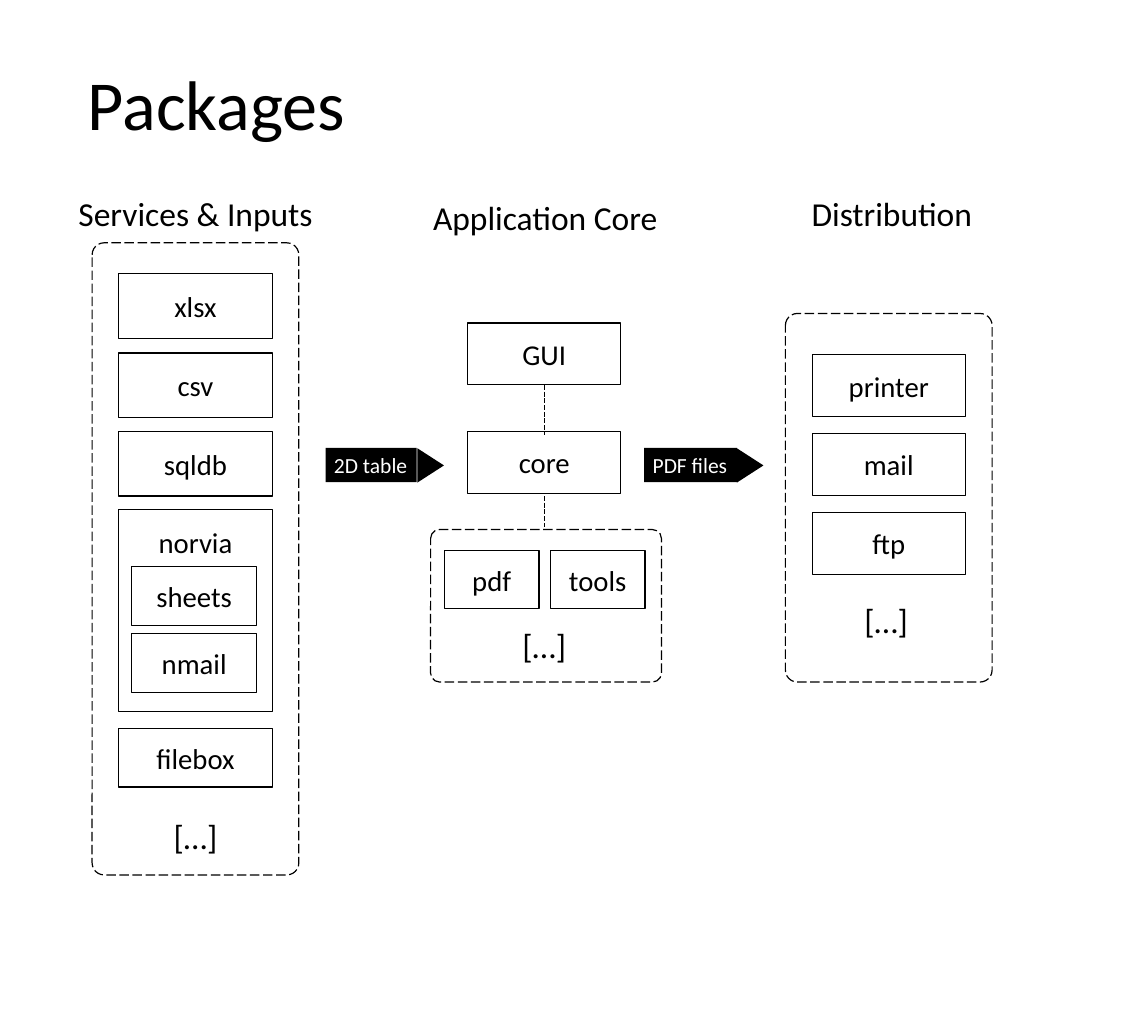
from lxml import etree
from pptx import Presentation
from pptx.dml.color import RGBColor
from pptx.enum.dml import MSO_LINE
from pptx.enum.shapes import MSO_CONNECTOR, MSO_SHAPE
from pptx.enum.text import MSO_ANCHOR, MSO_AUTO_SIZE, PP_ALIGN
from pptx.oxml.ns import qn
from pptx.util import Pt

PX = 9144
BLACK = RGBColor(0, 0, 0)
WHITE = RGBColor(255, 255, 255)
RECT = MSO_SHAPE.RECTANGLE
ROUND = MSO_SHAPE.ROUNDED_RECTANGLE
HEAD = MSO_SHAPE.ISOSCELES_TRIANGLE
DASH = MSO_LINE.LONG_DASH
LEFT, CENTER = PP_ALIGN.LEFT, PP_ALIGN.CENTER

prs = Presentation()
prs.slide_width = 1333 * PX
prs.slide_height = 1181 * PX
slide = prs.slides.add_slide(prs.slide_layouts[5])
shapes = slide.shapes


def write(shape, text, size, color=BLACK, align=CENTER, wrap=True):
    frame = shape.text_frame
    frame.text = text
    frame.word_wrap = wrap
    para = frame.paragraphs[0]
    para.alignment = align
    para.font.name = "Calibri"
    para.font.size = Pt(size)
    para.font.color.rgb = color


def draw(kind, x, y, w, h, fill=WHITE):
    shape = shapes.add_shape(kind, x * PX, y * PX, w * PX, h * PX)
    shape.shadow.inherit = False
    shape.fill.solid()
    shape.fill.fore_color.rgb = fill
    if fill == WHITE:
        shape.line.color.rgb = BLACK
        shape.line.width = Pt(1)
    else:
        shape.line.fill.background()
    return shape


title = shapes.title
title.left, title.top = 92 * PX, 63 * PX
title.width, title.height = 1150 * PX, 125 * PX
write(title, "Packages", 58.7, align=LEFT)
title.text_frame.auto_size = MSO_AUTO_SIZE.NONE
title.text_frame.vertical_anchor = MSO_ANCHOR.MIDDLE
title.text_frame.paragraphs[0].line_spacing = 0.9

panels = [(500, 615, 268, 177), (107, 282, 240, 734), (912, 364, 240, 428)]
for x, y, w, h in panels:
    panel = draw(ROUND, x, y, w, h)
    panel.adjustments[0] = 0.058
    panel.line.dash_style = DASH

suite = draw(RECT, 138, 592, 178, 234)
write(suite, "norvia", 24)
suite.text_frame.vertical_anchor = MSO_ANCHOR.TOP
suite.text_frame.margin_top = 17 * PX

boxes = [
    ("xlsx", 138, 318, 178, 75),
    ("csv", 138, 410, 178, 75),
    ("sqldb", 138, 501, 178, 75),
    ("sheets", 153, 658, 145, 68),
    ("nmail", 153, 736, 145, 68),
    ("filebox", 138, 846, 178, 68),
    ("GUI", 543, 375, 178, 72),
    ("core", 543, 501, 178, 72),
    ("pdf", 516, 639, 110, 68),
    ("tools", 639, 639, 110, 68),
    ("printer", 943, 412, 178, 72),
    ("mail", 943, 503, 178, 72),
    ("ftp", 943, 595, 178, 72),
]
for text, x, y, w, h in boxes:
    write(draw(RECT, x, y, w, h), text, 24)

labels = [
    ("Services & Inputs", 80, 219, 294),
    ("Application Core", 470, 224, 326),
    ("Distribution", 931, 219, 209),
    ("[…]", 191, 943, 72),
    ("[…]", 596, 721, 72),
    ("[…]", 993, 692, 72),
]
for text, x, y, w in labels:
    label = shapes.add_textbox(x * PX, y * PX, w * PX, 57 * PX)
    write(label, text, 28, wrap=False)

for top, end in [(447, 505), (576, 612)]:
    link = shapes.add_connector(
        MSO_CONNECTOR.STRAIGHT, 632 * PX, top * PX, 632 * PX, end * PX)
    link.line.color.rgb = BLACK
    link.line.width = Pt(0.5)
    link.line.dash_style = DASH
    etree.SubElement(link._element.spPr, qn("a:effectLst"))

for text, x, w, tip in [("2D table", 378, 106, 480), ("PDF files", 748, 108, 851)]:
    draw(HEAD, tip, 525, 40, 31, BLACK).rotation = 90
    write(draw(RECT, x, 520, w, 40, BLACK), text, 18, WHITE, LEFT, False)

prs.save("out.pptx")
